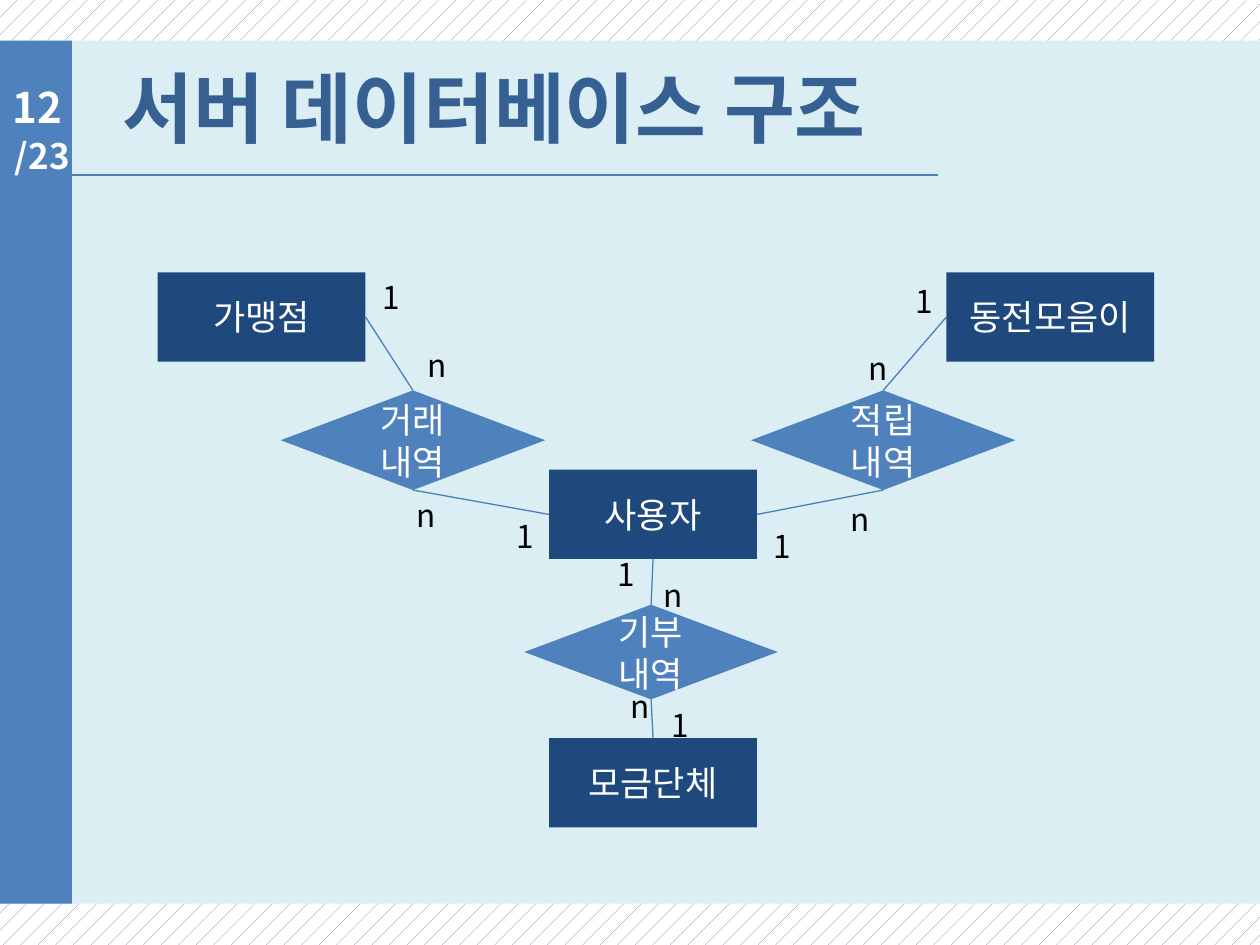
from dataclasses import dataclass

from lxml import etree
from pptx import Presentation
from pptx.dml.color import RGBColor
from pptx.enum.dml import MSO_PATTERN
from pptx.enum.shapes import MSO_CONNECTOR, MSO_SHAPE
from pptx.enum.text import MSO_ANCHOR, PP_ALIGN
from pptx.oxml.ns import qn
from pptx.util import Cm, Pt

RECT = MSO_SHAPE.RECTANGLE
DIAMOND = MSO_SHAPE.FLOWCHART_DECISION
STRAIGHT = MSO_CONNECTOR.STRAIGHT
LEFT, CENTER = PP_ALIGN.LEFT, PP_ALIGN.CENTER
TOP_ANCHOR, MIDDLE = MSO_ANCHOR.TOP, MSO_ANCHOR.MIDDLE
TOP, LEFT_SIDE, BOTTOM, RIGHT_SIDE = range(4)  # connection sites

FONT = "Noto Sans CJK KR"
BLUE, NAVY, PALE, WHITE = "4F81BD", "1F497D", "DBEEF4", "FFFFFF"
LINK_BLUE, TITLE_BLUE, BLACK = "4B7EBC", "376092", "000000"

NODE_FORMAT = {"size": Pt(20)}
CARDINALITY_FORMAT = {"size": Pt(18)}
TITLE_FORMAT = {"size": Pt(44), "bold": True}
PAGE_FORMAT = {"size": Pt(24), "bold": True}
TOTAL_FORMAT = {"size": Pt(20), "bold": True}


@dataclass(frozen=True)
class Node:
    """An entity or a relationship; lengths in cm."""
    text: str
    x: float
    y: float
    width: float = 4.19
    height: float = 1.8
    kind: int = RECT
    fill: str = NAVY


@dataclass(frozen=True)
class Relation(Node):
    width: float = 5.33
    height: float = 2.01
    kind: int = DIAMOND
    fill: str = BLUE


@dataclass(frozen=True)
class Link:
    start: str
    start_site: int
    end: str
    end_site: int


@dataclass(frozen=True)
class Cardinality:
    text: str
    x: float
    y: float


NODES = [
    Node("사용자", 11.07, 9.47),
    Relation("적립\n내역", 15.14, 7.87),
    Relation("거래\n내역", 5.66, 7.87),
    Relation("기부\n내역", 10.57, 12.19, 5.11, 1.91),
    Node("모금단체", 11.07, 14.88),
    Node("동전모음이", 19.08, 5.49),
    Node("가맹점", 3.18, 5.49),
]
LINKS = [
    Link("거래\n내역", TOP, "가맹점", RIGHT_SIDE),
    Link("적립\n내역", TOP, "동전모음이", LEFT_SIDE),
    Link("기부\n내역", TOP, "사용자", BOTTOM),
    Link("사용자", LEFT_SIDE, "거래\n내역", BOTTOM),
    Link("사용자", RIGHT_SIDE, "적립\n내역", BOTTOM),
    Link("기부\n내역", BOTTOM, "모금단체", TOP),
]
CARDINALITIES = [
    Cardinality("1", 7.47, 5.49), Cardinality("n", 8.36, 6.86),
    Cardinality("n", 8.15, 9.88), Cardinality("1", 10.16, 10.29),
    Cardinality("1", 12.19, 11.07), Cardinality("n", 13.13, 11.48),
    Cardinality("1", 13.28, 14.1), Cardinality("n", 12.47, 13.72),
    Cardinality("1", 15.34, 10.49), Cardinality("n", 16.89, 9.96),
    Cardinality("n", 17.25, 6.91), Cardinality("1", 18.21, 5.56),
]


def rgb(hex_color: str) -> RGBColor:
    return RGBColor.from_string(hex_color)


def write(shape, text: str, color: str, font_format: dict,
          align=LEFT, anchor=TOP_ANCHOR) -> None:
    frame = shape.text_frame
    frame.word_wrap = True
    frame.vertical_anchor = anchor
    frame.text = text
    for paragraph in frame.paragraphs:
        paragraph.alignment = align
        for run in paragraph.runs:
            for name, value in {"name": FONT, **font_format}.items():
                setattr(run.font, name, value)
            run.font.color.rgb = rgb(color)
            east_asian = etree.SubElement(run._r.get_or_add_rPr(), qn("a:ea"))
            east_asian.set("typeface", FONT)


def add_block(slide, kind, x: float, y: float, width: float, height: float,
              fill: str):
    block = slide.shapes.add_shape(kind, Cm(x), Cm(y), Cm(width), Cm(height))
    block.shadow.inherit = False
    block.fill.solid()
    block.fill.fore_color.rgb = rgb(fill)
    block.line.fill.background()
    return block


def add_text(slide, text: str, x: float, y: float, width: float, height: float,
             color: str, font_format: dict, anchor=TOP_ANCHOR):
    box = slide.shapes.add_textbox(Cm(x), Cm(y), Cm(width), Cm(height))
    write(box, text, color, font_format, anchor=anchor)
    return box


def add_line(slide, x1: float, y1: float, x2: float, y2: float,
             color: str, weight: float):
    line = slide.shapes.add_connector(STRAIGHT, Cm(x1), Cm(y1), Cm(x2), Cm(y2))
    line.line.color.rgb = rgb(color)
    line.line.width = Pt(weight)
    etree.SubElement(line._element.spPr, qn("a:effectLst"))
    return line


def add_node(slide, node: Node):
    block = add_block(slide, node.kind, node.x, node.y, node.width,
                      node.height, node.fill)
    write(block, node.text, WHITE, NODE_FORMAT, CENTER, MIDDLE)
    return block


def add_link(slide, link: Link, blocks: dict) -> None:
    line = add_line(slide, 0, 0, 1, 1, LINK_BLUE, 0.75)
    line.begin_connect(blocks[link.start], link.start_site)
    line.end_connect(blocks[link.end], link.end_site)


def main() -> None:
    deck = Presentation()
    deck.slide_width, deck.slide_height = Cm(25.4), Cm(19.05)
    slide = deck.slides.add_slide(deck.slide_layouts[6])

    # Patterned background, panel and side bar
    backdrop = slide.background.fill
    backdrop.patterned()
    backdrop.pattern = MSO_PATTERN.PERCENT_5
    backdrop.fore_color.rgb = rgb(BLUE)
    backdrop.back_color.rgb = rgb(WHITE)
    add_block(slide, RECT, 0, 0.82, 25.4, 17.4, PALE)
    add_line(slide, 0.71, 3.53, 18.9, 3.53, BLUE, 1)
    add_block(slide, RECT, -0.05, 0.82, 1.5, 17.4, BLUE)

    # Title and page number
    title = add_text(slide, "서버 데이터베이스 구조", 1.5, 0.84, 17.4, 2.64,
                     TITLE_BLUE, TITLE_FORMAT, MIDDLE)
    title.text_frame.margin_left = Cm(0.97)
    add_text(slide, "/23", 0.05, 2.59, 1.7, 1.12, WHITE, TOTAL_FORMAT)
    add_text(slide, "12", 0, 1.52, 1.7, 1.27, WHITE, PAGE_FORMAT)

    # Entity-relationship diagram
    blocks = {node.text: add_node(slide, node) for node in NODES}
    for link in LINKS:
        add_link(slide, link, blocks)
    for mark in CARDINALITIES:
        add_text(slide, mark.text, mark.x, mark.y, 0.91, 1.02,
                 BLACK, CARDINALITY_FORMAT)

    deck.save("out.pptx")


if __name__ == "__main__":
    main()
